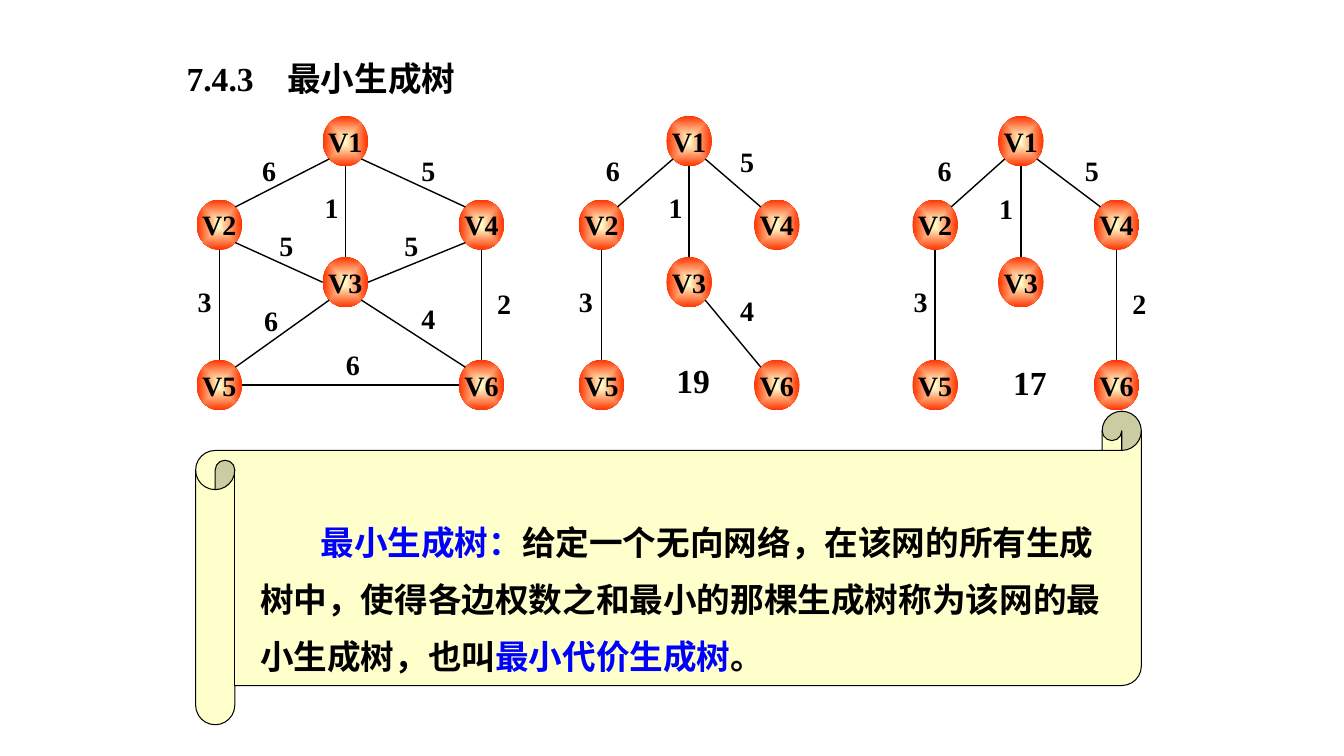
from math import sqrt

from lxml.etree import SubElement
from pptx import Presentation
from pptx.dml.color import RGBColor
from pptx.enum.dml import MSO_FILL
from pptx.enum.lang import MSO_LANGUAGE_ID
from pptx.enum.shapes import MSO_CONNECTOR, MSO_SHAPE
from pptx.enum.text import MSO_ANCHOR, PP_ALIGN
from pptx.oxml.ns import qn
from pptx.util import Inches, Pt

FONT = "Times New Roman"
BLACK, BLUE, CREAM, RED = "000000", "0000FF", "FFFFCC", "FF3300"
HEADING = "7.4.3\t最小生成树"
DEFINITION = [
    ("最小生成树：", BLUE),
    ("给定一个无向网络，在该网的所有生成树中，使得各边权数之和最小的那棵生成树称为该网的最小生成树，也叫", BLACK),
    ("最小代价生成树", BLUE),
    ("。", BLACK),
]

VERTEX_WIDTH, VERTEX_HEIGHT = 0.45, 0.5
VERTICES = {
    "V1": (1, 1.15), "V2": (0, 1.98), "V3": (1, 2.55),
    "V4": (2, 1.98), "V5": (0, 3.57), "V6": (2, 3.57),
}
EDGE_SITES = {
    ("V1", "V2"): ("SW", "NE"), ("V1", "V4"): ("SE", "NW"),
    ("V1", "V3"): ("S", "N"), ("V2", "V3"): ("SE", "W"),
    ("V3", "V5"): ("SW", "NE"), ("V2", "V5"): ("S", "N"),
    ("V4", "V3"): ("SW", "E"), ("V4", "V6"): ("S", "N"),
    ("V3", "V6"): ("SE", "NW"), ("V6", "V5"): ("W", "E"),
}
GRAPHS = [
    {
        "columns": (1.95, 3.2, 4.55),
        "edges": [
            ("V1", "V2", "6", 2.5, 1.47), ("V1", "V4", "5", 4.08, 1.47),
            ("V1", "V3", "1", 3.12, 1.84), ("V2", "V3", "5", 2.67, 2.22),
            ("V3", "V5", "6", 2.52, 2.96), ("V2", "V5", "3", 1.86, 2.77),
            ("V4", "V3", "5", 3.91, 2.22), ("V4", "V6", "2", 4.83, 2.79),
            ("V3", "V6", "4", 4.08, 2.94), ("V6", "V5", "6", 3.33, 3.4),
        ],
    },
    {
        "columns": (5.74, 6.61, 7.48),
        "edges": [
            ("V1", "V2", "6", 5.91, 1.47), ("V1", "V4", "5", 7.24, 1.39),
            ("V1", "V3", "1", 6.53, 1.84), ("V2", "V5", "3", 5.64, 2.77),
            ("V3", "V6", "4", 7.24, 2.86),
        ],
        "total": ("19", 6.61, 3.52),
    },
    {
        "columns": (9.05, 9.9, 10.85),
        "edges": [
            ("V1", "V2", "6", 9.2, 1.47), ("V1", "V4", "5", 10.66, 1.47),
            ("V1", "V3", "1", 9.81, 1.85), ("V2", "V5", "3", 8.96, 2.77),
            ("V4", "V6", "2", 11.13, 2.79),
        ],
        "total": ("17", 9.95, 3.54),
    },
]


def color(hex_string):
    return RGBColor.from_string(hex_string)


def box(left, top, width, height):
    return [Inches(length) for length in (left, top, width, height)]


def write(paragraph, words, size, ink=BLACK):
    run = paragraph.add_run()
    run.text = words
    run.font.name = FONT
    run.font.size = Pt(size)
    run.font.bold = True
    run.font.color.rgb = color(ink)
    run.font.language_id = MSO_LANGUAGE_ID.SIMPLIFIED_CHINESE


def add_label(shapes, words, left, top, width, height, size, align):
    frame = shapes.add_textbox(*box(left, top, width, height)).text_frame
    frame.word_wrap = False
    frame.vertical_anchor = MSO_ANCHOR.MIDDLE
    frame.paragraphs[0].alignment = align
    write(frame.paragraphs[0], words, size)


def add_vertex(shapes, name, left, top):
    vertex = shapes.add_shape(MSO_SHAPE.OVAL, *box(left, top, VERTEX_WIDTH, VERTEX_HEIGHT))
    vertex.shadow.inherit = False
    vertex.line.fill.background()
    vertex.fill.gradient()
    for stop, shade in zip(vertex.fill.gradient_stops, (CREAM, RED)):
        stop.color.rgb = color(shade)
    gradient = vertex._element.spPr.find(qn("a:gradFill"))
    gradient.remove(gradient.find(qn("a:lin")))
    radial = SubElement(gradient, qn("a:path"), {"path": "shape"})
    SubElement(radial, qn("a:fillToRect"), dict.fromkeys("ltrb", "50000"))
    frame = vertex.text_frame
    frame.word_wrap = False
    frame.vertical_anchor = MSO_ANCHOR.MIDDLE
    frame.paragraphs[0].alignment = PP_ALIGN.CENTER
    write(frame.paragraphs[0], name, 20)


def rim_point(columns, name, site):
    column, top = VERTICES[name]
    across = ("E" in site) - ("W" in site)
    down = ("S" in site) - ("N" in site)
    reach = 0.5 / sqrt(len(site))
    return (Inches(columns[column] + VERTEX_WIDTH * (0.5 + across * reach)),
            Inches(top + VERTEX_HEIGHT * (0.5 + down * reach)))


def add_edge(shapes, columns, start, end):
    start_site, end_site = EDGE_SITES[start, end]
    edge = shapes.add_connector(
        MSO_CONNECTOR.STRAIGHT,
        *rim_point(columns, start, start_site), *rim_point(columns, end, end_site))
    edge.line.color.rgb = color(BLACK)
    edge.line.width = Pt(1)
    SubElement(edge._element.spPr, qn("a:effectLst"))


def add_graph(slide, graph):
    columns = graph["columns"]
    shapes = slide.shapes.add_group_shape().shapes
    for name, (column, top) in VERTICES.items():
        add_vertex(shapes, name, columns[column], top)
    for start, end, weight, left, top in graph["edges"]:
        add_edge(shapes, columns, start, end)
        add_label(shapes, weight, left, top, 0.34, 0.43, 20, PP_ALIGN.CENTER)
    if "total" in graph:
        add_label(slide.shapes, *graph["total"], 0.62, 0.5, 24, PP_ALIGN.LEFT)


def add_heading(slide):
    heading = slide.shapes.title
    heading.left, heading.top, heading.width, heading.height = box(1.75, 0.52, 2.95, 0.5)
    frame = heading.text_frame
    frame.word_wrap = False
    frame.vertical_anchor = MSO_ANCHOR.MIDDLE
    paragraph = frame.paragraphs[0]
    paragraph.alignment = PP_ALIGN.LEFT
    tabs = SubElement(paragraph._p.get_or_add_pPr(), qn("a:tabLst"))
    SubElement(tabs, qn("a:tab"), {"pos": str(Inches(1)), "algn": "l"})
    write(paragraph, HEADING, 24)


def add_definition(slide):
    scroll = slide.shapes.add_shape(MSO_SHAPE.HORIZONTAL_SCROLL, *box(1.94, 4.08, 9.38, 3.11))
    scroll.shadow.inherit = False
    scroll.fill.solid()
    scroll.fill.fore_color.rgb = color(CREAM)
    scroll.line.color.rgb = color(BLACK)
    scroll.line.width = Pt(0.75)
    frame = scroll.text_frame
    frame.word_wrap = True
    frame.vertical_anchor = MSO_ANCHOR.MIDDLE
    frame.margin_left, frame.margin_top, frame.margin_right, frame.margin_bottom = box(
        0.25, 0.5, 0.1, 0.05)
    paragraph = frame.paragraphs[0]
    paragraph.alignment = PP_ALIGN.LEFT
    paragraph.line_spacing = Pt(40.7)
    paragraph._p.get_or_add_pPr().set("indent", str(Inches(0.6)))
    for words, ink in DEFINITION:
        write(paragraph, words, 24, ink)


def main():
    presentation = Presentation()
    presentation.slide_width, presentation.slide_height = Inches(13.33), Inches(7.5)
    slide = presentation.slides.add_slide(presentation.slide_layouts[5])
    add_heading(slide)
    for graph in GRAPHS:
        add_graph(slide, graph)
    add_definition(slide)
    presentation.save("out.pptx")


if __name__ == "__main__":
    main()
